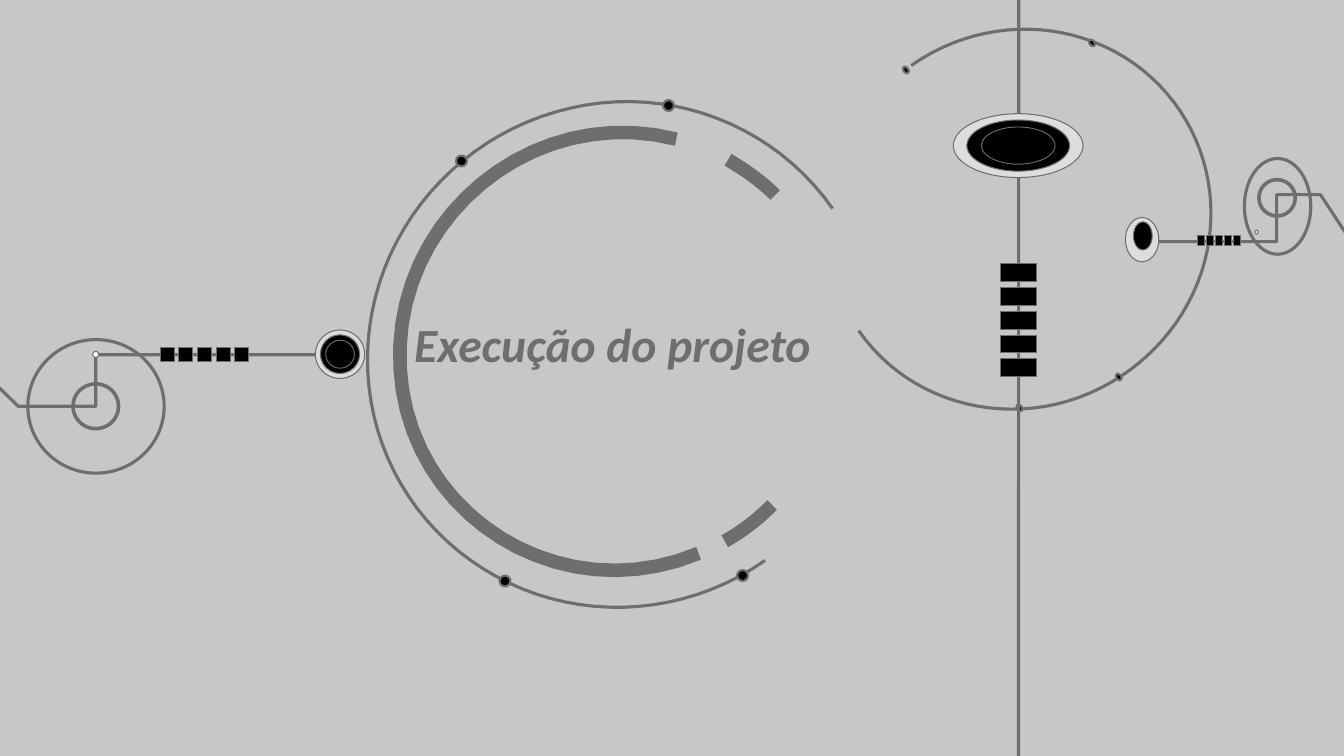
from dataclasses import dataclass

from lxml import etree
from pptx import Presentation
from pptx.dml.color import RGBColor
from pptx.enum.shapes import MSO_CONNECTOR, MSO_SHAPE
from pptx.enum.text import MSO_ANCHOR, PP_ALIGN
from pptx.oxml.ns import qn
from pptx.util import Pt

OVAL = MSO_SHAPE.OVAL
STRAIGHT = MSO_CONNECTOR.STRAIGHT
BOTTOM, CENTER = MSO_ANCHOR.BOTTOM, PP_ALIGN.CENTER


@dataclass(frozen=True)
class Theme:
    """Colours, font, type size and line weights of the slide."""
    paper: str = "C7C7C7"
    gray: str = "6E6E6E"
    black: str = "000000"
    rim: str = "DDDDDD"
    white: str = "FFFFFF"
    font: str = "Calibri"
    title: float = 34
    thick: float = 9.69
    ring: float = 2.57
    wire: float = 2.25
    dot: float = 1.5
    thin: float = 0.75
    fine: float = 0.66


T = Theme()

THICK_ARCS = [
    [(483.1, 99.4), (380.2, 73.4), (280.1, 156.2), (285.8, 262.8),
     (291.6, 368.6), (400.3, 436.3), (499, 395.3)],
    [(553.7, 139.3), (543.6, 129.3), (532.2, 121.3), (520, 114.1)],
    [(517.7, 386.6), (530.7, 379.4), (541.5, 370.8), (551.6, 360.7)],
]
THIN_ARCS = [
    [(546.5, 400.3), (486, 442.8), (406.1, 445), (344.9, 406.1),
     (283, 367.2), (252, 295.2), (265.7, 223.2), (279.4, 151.2),
     (335.5, 93.6), (407.5, 77.2), (478.8, 60.6), (553, 89.3), (594.7, 149)],
    [(650.9, 46.8), (697, 14.4), (756.7, 12.2), (803.5, 41),
     (849.6, 69.8), (873.2, 123.8), (862.4, 178.6), (851.6, 232.6),
     (808.6, 275.8), (754.6, 288.7), (699.8, 301), (644.4, 280.8), (613.4, 236.2)],
]
LEFT_DOTS = [(360.7, 415), (530.4, 411.1), (329.6, 115), (477.5, 75.4)]
RIGHT_DOTS = [(780, 30.7), (647.1, 50), (799.1, 269.3), (728.2, 291.4)]
LEFT_WIRE = [(-53.3, 225.4), (13, 290.2), (68.4, 290.2), (68.4, 253.4), (234, 253.4)]
RIGHT_WIRE = [(981.4, 197.3), (943.2, 139), (911.9, 139), (911.9, 172.6), (817.2, 172.6)]


def paint(sp, fill, weight):
    """Set fill and gray outline, without shadow."""
    sp.shadow.inherit = False
    if fill:
        sp.fill.solid()
        sp.fill.fore_color.rgb = RGBColor.from_string(fill)
    else:
        sp.fill.background()
    sp.line.color.rgb = RGBColor.from_string(T.gray)
    sp.line.width = Pt(weight)


def ellipse(s, center, w, h, fill, weight, rotation=0):
    """Add an ellipse around a centre point."""
    x, y = center
    sp = s.shapes.add_shape(OVAL, Pt(x - w / 2), Pt(y - h / 2), Pt(w), Pt(h))
    sp.rotation = rotation
    paint(sp, fill, weight)


def lens(s, center, sizes):
    """Add a pale ellipse with black ones inside it."""
    weights = (T.thin, T.thin, T.fine)
    for i, ((w, h), weight) in enumerate(zip(sizes, weights)):
        ellipse(s, center, w, h, T.black if i else T.rim, weight)


def blocks(s, x, y, w, h, dx=0, dy=0):
    """Add one shape made of five equally spaced black blocks."""
    builder = s.shapes.build_freeform(Pt(x), Pt(y), scale=1.0)
    for i in range(5):
        left, top = x + i * dx, y + i * dy
        right, bottom = left + w, top + h
        if i:
            builder.move_to(Pt(left), Pt(top))
        corners = [(right, top), (right, bottom), (left, bottom)]
        builder.add_line_segments([(Pt(a), Pt(b)) for a, b in corners], close=True)
    paint(builder.convert_to_shape(), T.black, T.fine)


def outline(s, points, weight):
    """Add an open, unfilled outline through the points."""
    pts = [(Pt(x), Pt(y)) for x, y in points]
    builder = s.shapes.build_freeform(*pts[0], scale=1.0)
    builder.add_line_segments(pts[1:], close=False)
    paint(builder.convert_to_shape(), None, weight)


def arc(s, controls, weight, steps=20):
    """Add a chain of cubic curves given by control points."""
    points = [controls[0]]
    for i in range(0, len(controls) - 1, 3):
        for t in (k / steps for k in range(1, steps + 1)):
            mix = ((1 - t) ** 3, 3 * t * (1 - t) ** 2, 3 * t * t * (1 - t), t ** 3)
            points.append(tuple(sum(m * p[axis] for m, p in zip(mix, controls[i:i + 4]))
                                for axis in (0, 1)))
    outline(s, points, weight)


def line(s, x1, y1, x2, y2):
    """Add a straight gray line."""
    cn = s.shapes.add_connector(STRAIGHT, Pt(x1), Pt(y1), Pt(x2), Pt(y2))
    cn.line.color.rgb = RGBColor.from_string(T.gray)
    cn.line.width = Pt(T.wire)
    etree.SubElement(cn._element.spPr, qn("a:effectLst"))


def title(s, text):
    """Add the centred title."""
    tf = s.shapes.add_textbox(Pt(77.4), Pt(180), Pt(720), Pt(90)).text_frame
    tf.word_wrap, tf.vertical_anchor = True, BOTTOM
    p = tf.paragraphs[0]
    p.alignment, p.line_spacing = CENTER, 0.9
    r = p.add_run()
    r.text = text
    look = {"name": T.font, "size": Pt(T.title), "bold": True, "italic": True}
    for key, value in look.items():
        setattr(r.font, key, value)
    r.font.color.rgb = RGBColor.from_string(T.gray)


def left_circuit(s):
    """Draw the wire, rings, lens and blocks on the left."""
    outline(s, LEFT_WIRE, T.wire)
    ellipse(s, (68.4, 253.2), 4.3, 4.3, T.white, T.thin)
    ellipse(s, (68.6, 290.3), 97.4, 95.4, None, T.wire)
    ellipse(s, (68.4, 290.2), 32.5, 32, None, T.ring)
    lens(s, (242.9, 253), [(35.2, 34.6), (28, 27.6), (20.5, 20)])
    blocks(s, 114.5, 248.5, 10, 9.4, dx=13.3)


def right_circuit(s):
    """Draw the wire, rings, lens and blocks on the right."""
    outline(s, RIGHT_WIRE, T.wire)
    ellipse(s, (897.5, 165.8), 2.2, 2.9, T.white, T.thin)
    ellipse(s, (912.6, 147.4), 47.4, 68.4, None, T.wire)
    ellipse(s, (912.2, 141.3), 26, 26, None, T.ring)
    lens(s, (815.8, 171.2), [(23.8, 31.7)])
    ellipse(s, (816.3, 168.5), 13.4, 20, T.black, T.thin)
    blocks(s, 855.4, 168.5, 5, 6.6, dx=6.48)


def main():
    """Build and save the slide."""
    prs = Presentation()
    prs.slide_width, prs.slide_height = Pt(960), Pt(540)
    s = prs.slides.add_slide(prs.slide_layouts[6])
    s.background.fill.solid()
    s.background.fill.fore_color.rgb = RGBColor.from_string(T.paper)
    title(s, "Execução do projeto")
    for controls in THICK_ARCS:
        arc(s, controls, T.thick)
    for controls in THIN_ARCS:
        arc(s, controls, T.wire)
    for center in LEFT_DOTS:
        ellipse(s, center, 7.8, 7.8, T.black, T.dot)
    for center in RIGHT_DOTS:
        ellipse(s, center, 3.6, 5.2, T.black, T.dot, rotation=-35)
    left_circuit(s)
    right_circuit(s)
    line(s, 727.7, 0, 727.5, 540)
    lens(s, (727.3, 104), [(92.7, 45.6), (73.4, 36.5), (52.6, 26.6)])
    blocks(s, 714.8, 188.3, 25.6, 12.7, dy=17)
    prs.save("out.pptx")


if __name__ == "__main__":
    main()
